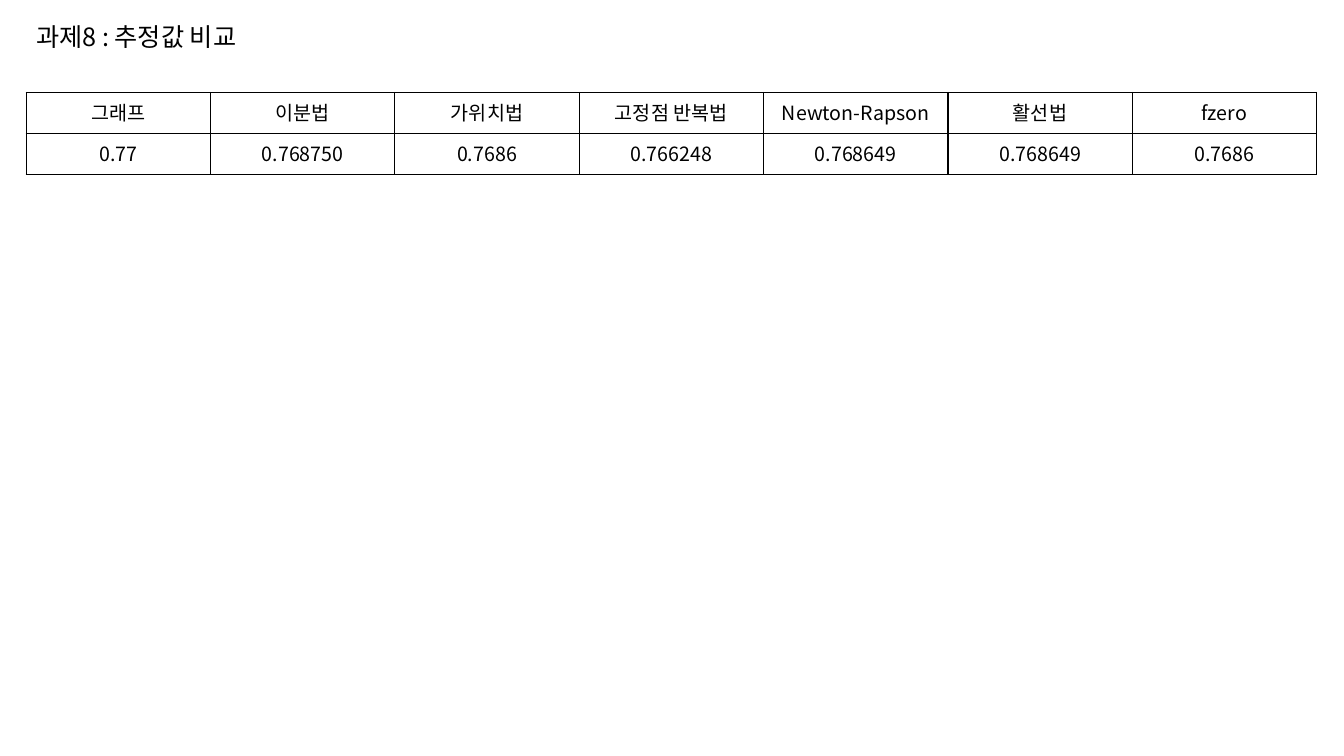
from dataclasses import dataclass

from lxml.etree import SubElement
from pptx import Presentation
from pptx.dml.color import RGBColor
from pptx.enum.text import MSO_AUTO_SIZE, PP_ALIGN
from pptx.oxml.ns import qn
from pptx.slide import Slide
from pptx.table import _Cell
from pptx.text.text import TextFrame
from pptx.util import Emu, Pt

SCALE = 9525


@dataclass(frozen=True)
class Theme:
    """Colours, font and type sizes of the slide."""

    ink: str = "000000"
    font: str = "Noto Sans CJK KR"
    title: int = 18
    body: int = 14
    rule: int = 1


@dataclass(frozen=True)
class Box:
    """A place on the slide in px."""

    left: int
    top: int
    width: int
    height: int

    def emu(self) -> tuple[Emu, Emu, Emu, Emu]:
        """Return the place in EMU."""
        return px(self.left), px(self.top), px(self.width), px(self.height)


@dataclass(frozen=True)
class Method:
    """A root finding method and its estimate."""

    name: str
    value: str


THEME = Theme()
TITLE = Box(25, 16, 771, 38)
GRID = Box(25, 88, 1229, 78)
METHODS = (
    Method("그래프", "0.77"),
    Method("이분법", "0.768750"),
    Method("가위치법", "0.7686"),
    Method("고정점 반복법", "0.766248"),
    Method("Newton-Rapson", "0.768649"),
    Method("활선법", "0.768649"),
    Method("fzero", "0.7686"),
)


def px(size: int) -> Emu:
    """Turn px into EMU."""
    return Emu(size * SCALE)


def write(frame: TextFrame, text: str, *, size: int,
          align: PP_ALIGN = PP_ALIGN.LEFT) -> None:
    """Put formatted text into a frame."""
    line = frame.paragraphs[0]
    line.alignment = align
    run = line.add_run()
    run.text = text
    run.font.size = Pt(size)
    run.font.name = THEME.font
    run.font.color.rgb = RGBColor.from_string(THEME.ink)
    SubElement(run.font._element, qn("a:ea"), typeface=THEME.font)


def frame_cell(cell: _Cell) -> None:
    """Draw a rule on each side of a clear cell."""
    props = cell._tc.get_or_add_tcPr()
    for side in "LRTB":
        edge = SubElement(props, qn(f"a:ln{side}"), w=str(Pt(THEME.rule)))
        fill = SubElement(edge, qn("a:solidFill"))
        SubElement(fill, qn("a:srgbClr"), val=THEME.ink)
    cell.fill.background()


def add_title(slide: Slide, text: str, box: Box) -> None:
    """Add the slide heading."""
    frame = slide.shapes.add_textbox(*box.emu()).text_frame
    frame.word_wrap = True
    frame.auto_size = MSO_AUTO_SIZE.SHAPE_TO_FIT_TEXT
    write(frame, text, size=THEME.title)


def add_grid(slide: Slide, methods: tuple[Method, ...], box: Box) -> None:
    """Add the table with one column per method."""
    table = slide.shapes.add_table(2, len(methods), *box.emu()).table
    table.first_row = False
    table.horz_banding = False
    for col, method in enumerate(methods):
        for row, text in enumerate((method.name, method.value)):
            cell = table.cell(row, col)
            frame_cell(cell)
            write(cell.text_frame, text, size=THEME.body,
                  align=PP_ALIGN.CENTER)


def main() -> None:
    """Build and save the slide."""
    deck = Presentation()
    deck.slide_width, deck.slide_height = px(1280), px(720)
    slide = deck.slides.add_slide(deck.slide_layouts[6])
    add_title(slide, "과제8 : 추정값 비교", TITLE)
    add_grid(slide, METHODS, GRID)
    deck.save("out.pptx")


if __name__ == "__main__":
    main()
